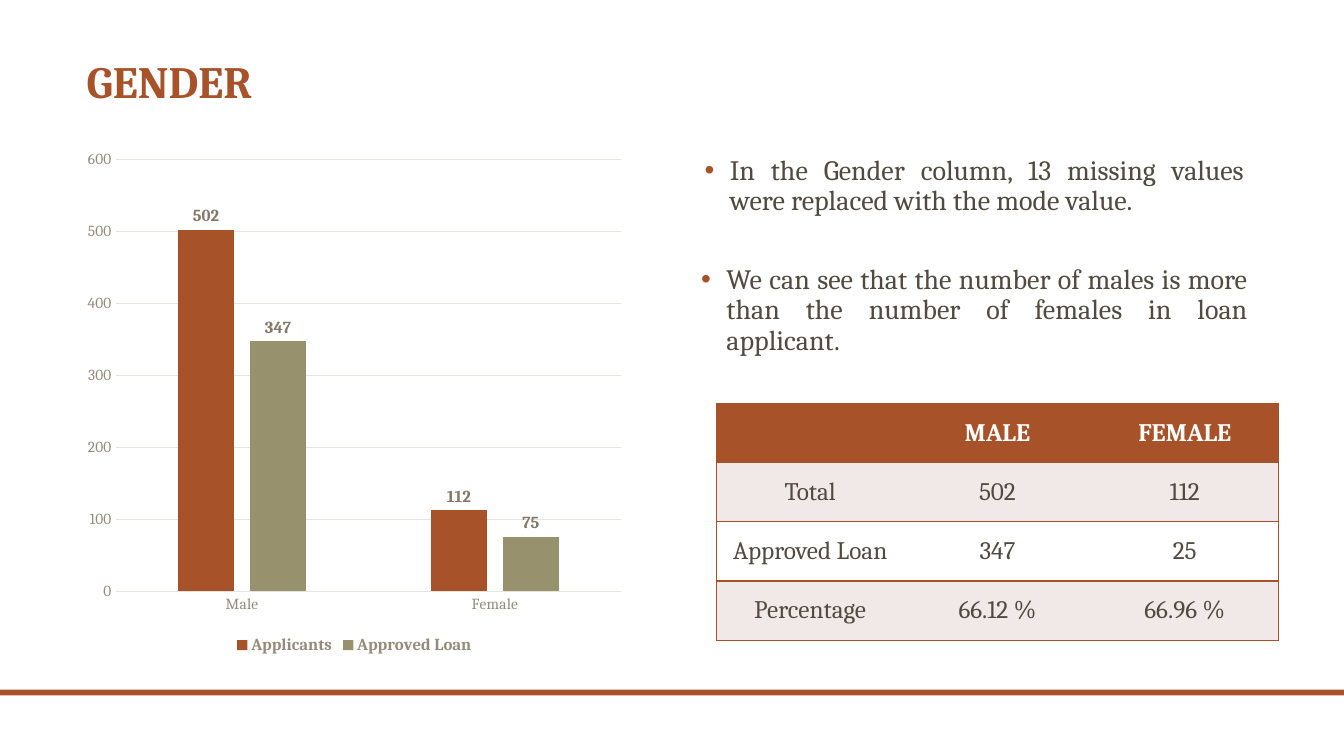
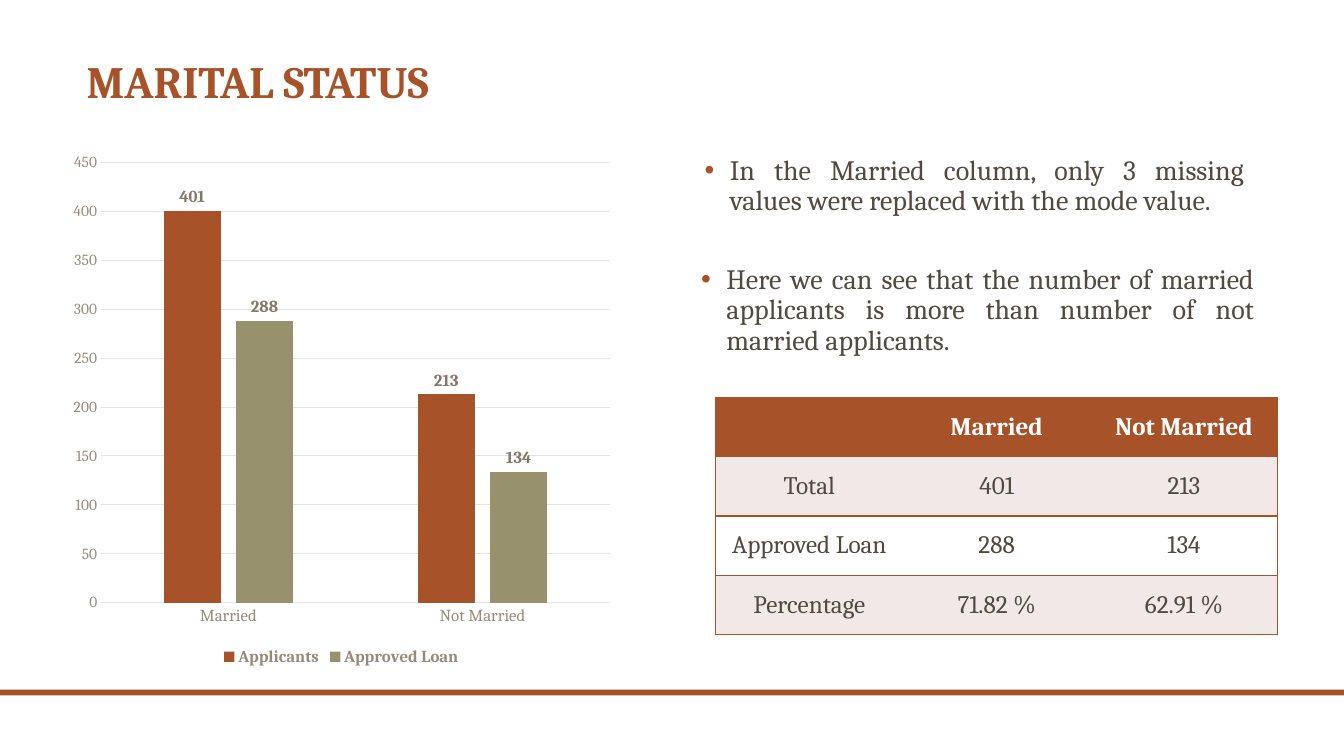
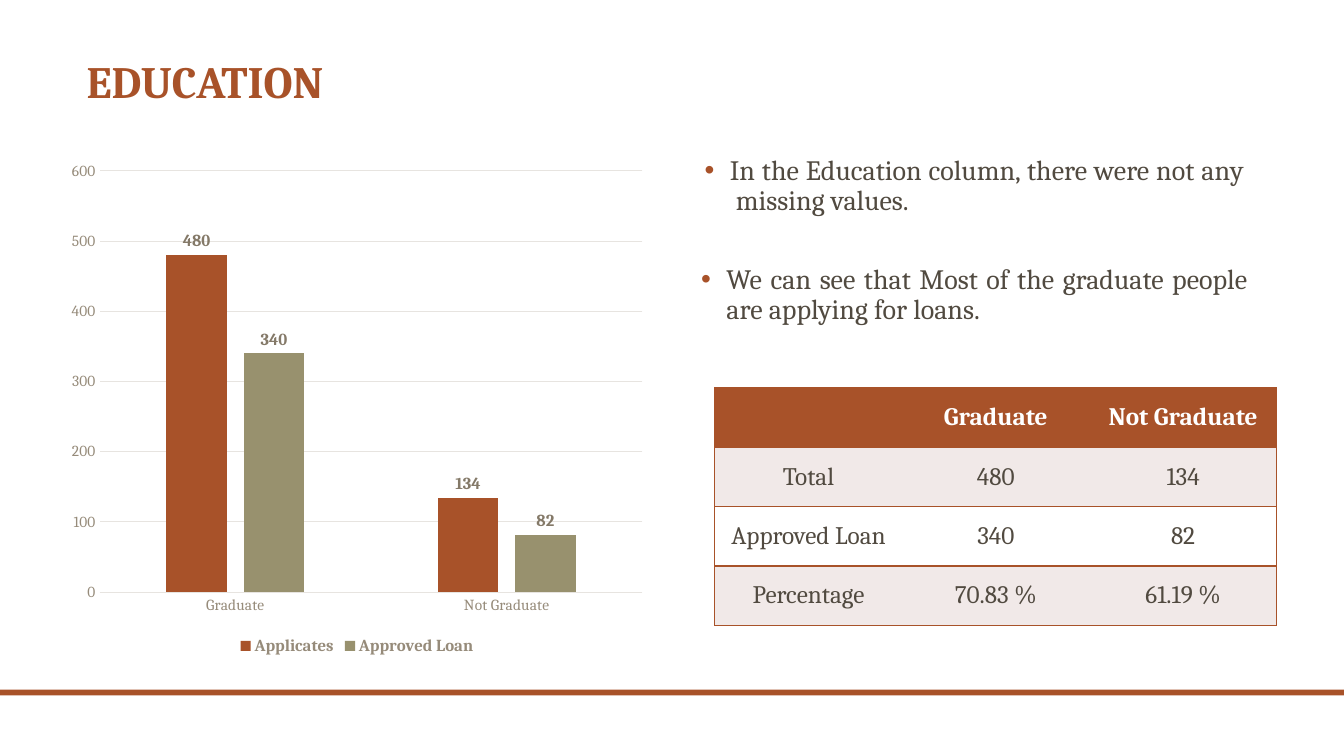
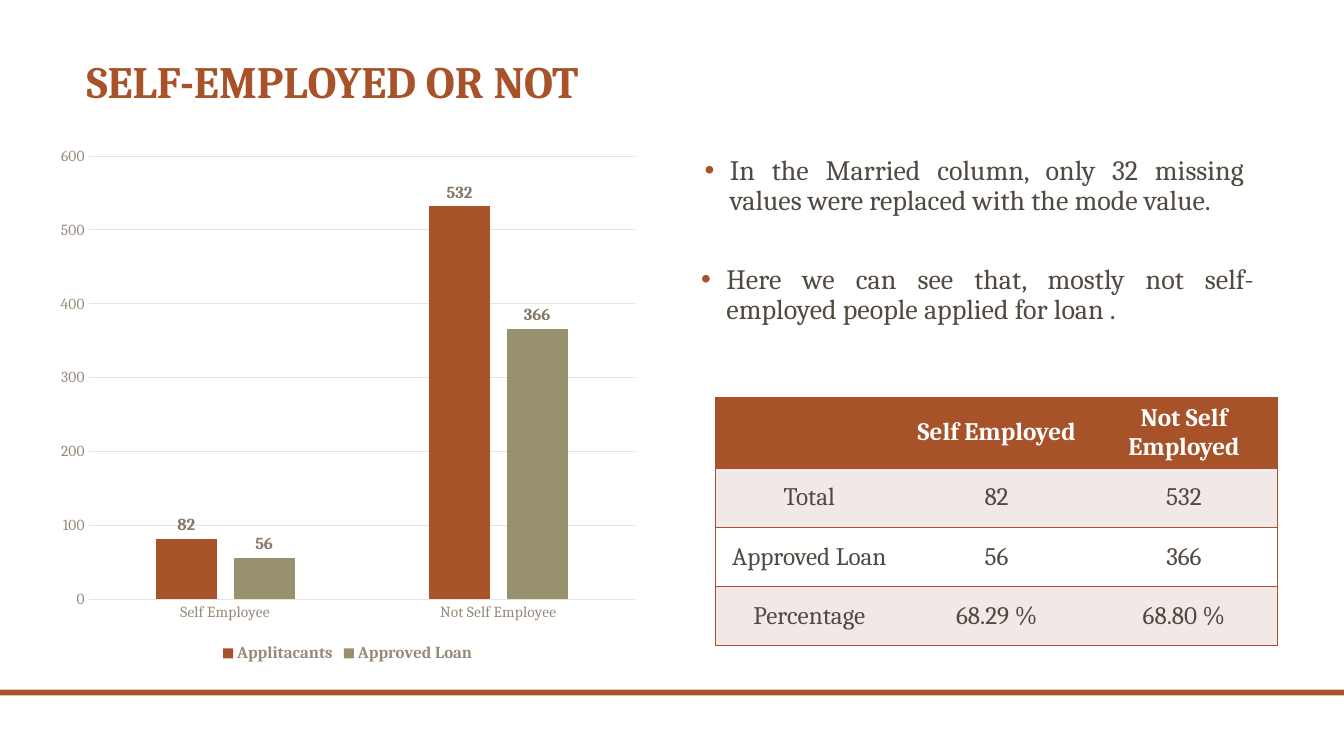
from lxml.etree import SubElement
from pptx import Presentation
from pptx.chart.data import CategoryChartData
from pptx.dml.color import RGBColor
from pptx.enum.chart import XL_CHART_TYPE, XL_LABEL_POSITION, XL_LEGEND_POSITION, XL_TICK_MARK
from pptx.enum.shapes import MSO_SHAPE
from pptx.enum.text import MSO_ANCHOR, MSO_AUTO_SIZE, PP_ALIGN
from pptx.oxml.ns import qn
from pptx.util import Inches, Pt

RUST = RGBColor(0xA8, 0x52, 0x29)
OLIVE = RGBColor(0x98, 0x91, 0x6E)
TEXT = RGBColor(0x51, 0x4A, 0x40)
LABEL = RGBColor(0x84, 0x79, 0x68)
AXIS = RGBColor(0x96, 0x8B, 0x7A)
GRID = RGBColor(0xE7, 0xE4, 0xE0)
TINT = RGBColor(0xF1, 0xE9, 0xE8)
WHITE = RGBColor(0xFF, 0xFF, 0xFF)
FONT = "Cambria"

# The slide is a grid of square units, 160 columns by 90 rows
COLUMNS, ROWS = 160, 90
UNIT = Inches(1) / 12


def grid(*lengths):
    return [round(length * UNIT) for length in lengths]


def set_font(font, size, color, bold=False):
    font.name, font.size, font.bold = FONT, Pt(size), bold
    font.color.rgb = color


def add_solid_fill(parent, color):
    fill = SubElement(parent, qn("a:solidFill"))
    SubElement(fill, qn("a:srgbClr"), val=str(color))


class Deck:
    """Holds the shared style and the current slide."""

    def __init__(self):
        self.presentation = Presentation()
        self.presentation.slide_width, self.presentation.slide_height = grid(COLUMNS, ROWS)
        self.slide = None

    def new_slide(self, title):
        self.slide = self.presentation.slides.add_slide(self.presentation.slide_layouts[5])
        # Footer band
        band = self.slide.shapes.add_shape(MSO_SHAPE.RECTANGLE, *grid(0, 82.1, COLUMNS, 0.7))
        band.shadow.inherit = False
        band.fill.solid()
        band.fill.fore_color.rgb = RUST
        band.line.fill.background()
        # Title
        shape = self.slide.shapes.title
        shape.left, shape.top, shape.width, shape.height = grid(9.1, 5.2, 126, 8.3)
        frame = shape.text_frame
        frame.text = title
        frame.auto_size = MSO_AUTO_SIZE.NONE
        frame.vertical_anchor = MSO_ANCHOR.BOTTOM
        paragraph = frame.paragraphs[0]
        paragraph.alignment = PP_ALIGN.LEFT
        paragraph.line_spacing = 0.9
        set_font(paragraph.font, 32, RUST, True)

    def bullet(self, text, box):
        frame = self.slide.shapes.add_textbox(*grid(*box)).text_frame
        frame.word_wrap = True
        paragraph = frame.paragraphs[0]
        paragraph.text = text
        paragraph.alignment = PP_ALIGN.JUSTIFY
        paragraph.line_spacing = 0.9
        paragraph.space_before = Pt(18)
        # Hanging bullet
        properties = paragraph._p.get_or_add_pPr()
        properties.set("marL", str(Inches(0.3)))
        properties.set("indent", str(-Inches(0.25)))
        color = SubElement(properties, qn("a:buClr"))
        SubElement(color, qn("a:srgbClr"), val=str(RUST))
        SubElement(properties, qn("a:buFont"), typeface="Arial")
        SubElement(properties, qn("a:buChar"), char="•")
        set_font(paragraph.font, 20, TEXT)

    def table(self, rows, left, top):
        row_count, column_count = len(rows), len(rows[0])
        table = self.slide.shapes.add_table(
            row_count, column_count, *grid(left, top, 66.9, 7.06 * row_count)).table
        table.horz_banding = False
        for i, row in enumerate(rows):
            fill = RUST if i == 0 else TINT if i % 2 else WHITE
            for j, text in enumerate(row):
                cell = table.cell(i, j)
                self.cell_borders(cell, j == 0, j == column_count - 1)
                cell.fill.solid()
                cell.fill.fore_color.rgb = fill
                cell.vertical_anchor = MSO_ANCHOR.MIDDLE
                cell.text = text
                paragraph = cell.text_frame.paragraphs[0]
                paragraph.alignment = PP_ALIGN.CENTER
                set_font(paragraph.font, 18, TEXT if i else WHITE, i == 0)

    def cell_borders(self, cell, is_first, is_last):
        properties = cell._tc.get_or_add_tcPr()
        sides = {"a:lnL": is_first, "a:lnR": is_last, "a:lnT": True, "a:lnB": True}
        for side, visible in sides.items():
            line = SubElement(properties, qn(side), w=str(Pt(1)))
            if visible:
                add_solid_fill(line, RUST)
            else:
                SubElement(line, qn("a:noFill"))

    def column_chart(self, categories, series, box, category_size=11):
        data = CategoryChartData()
        data.categories = categories
        for name, values in series.items():
            data.add_series(name, values)
        chart = self.slide.shapes.add_chart(
            XL_CHART_TYPE.COLUMN_CLUSTERED, *grid(*box), data).chart
        chart.has_title = False
        set_font(chart.font, 10, TEXT)
        # Legend
        chart.has_legend = True
        chart.legend.position = XL_LEGEND_POSITION.BOTTOM
        chart.legend.include_in_layout = False
        set_font(chart.legend.font, 12, AXIS, True)
        # Axes
        category_axis, value_axis = chart.category_axis, chart.value_axis
        for axis, size in ((category_axis, category_size), (value_axis, 11)):
            axis.major_tick_mark = axis.minor_tick_mark = XL_TICK_MARK.NONE
            set_font(axis.tick_labels.font, size, AXIS)
        value_axis.format.line.fill.background()
        for line in (category_axis.format.line, value_axis.major_gridlines.format.line):
            line.color.rgb = GRID
            line.width = Pt(0.75)
        # Columns and their labels
        plot = chart.plots[0]
        plot.vary_by_categories = False
        plot.gap_width, plot.overlap = 219, -27
        for item, color in zip(plot.series, (RUST, OLIVE)):
            item.format.fill.solid()
            item.format.fill.fore_color.rgb = color
            labels = item.data_labels
            labels.show_value = True
            labels.position = XL_LABEL_POSITION.OUTSIDE_END
            set_font(labels.font, 12, LABEL, True)

    def analysis(self, title, notes, note_width, header, rows, table_at, chart):
        self.new_slide(title)
        self.column_chart(**chart)
        self.bullet(notes[0], (82.1, 18, 67.2, 8.5))
        self.bullet(notes[1], (81.7, 31, note_width, 14))
        names = ("Total", "Approved Loan", "Percentage")
        body = [(name, *values) for name, values in zip(names, rows)]
        self.table([("", *header), *body], *table_at)


SLIDES = [
    dict(
        title="GENDER",
        notes=("In the Gender column, 13 missing values were replaced with the mode value.",
               "We can see that the number of males is more than the number of females "
               "in loan applicant."),
        note_width=68,
        header=("MALE", "FEMALE"),
        rows=(("502", "112"), ("347", "25"), ("66.12 %", "66.96 %")),
        table_at=(85.3, 48),
        chart=dict(categories=("Male", "Female"), box=(9.1, 16.6, 66.2, 61.8),
                   series={"Applicants": (502, 112), "Approved Loan": (347, 75)}),
    ),
    dict(
        title="MARITAL STATUS",
        notes=("In the Married column, only 3 missing values were replaced with the mode value.",
               "Here we can see that the number of married applicants is more than number "
               "of not married applicants."),
        note_width=68.8,
        header=("Married", "Not Married"),
        rows=(("401", "213"), ("288", "134"), ("71.82 %", "62.91 %")),
        table_at=(85.2, 47.3),
        chart=dict(categories=("Married", "Not Married"), box=(7.4, 17, 66.5, 62.8),
                   series={"Applicants": (401, 213), "Approved Loan": (288, 134)},
                   category_size=12),
    ),
    dict(
        title="EDUCATION",
        notes=("In the Education column, there were not any  missing values.",
               "We can see that Most of the graduate people are applying for loans."),
        note_width=68,
        header=("Graduate", "Not Graduate"),
        rows=(("480", "134"), ("340", "82"), ("70.83 %", "61.19 %")),
        table_at=(85.1, 46.2),
        chart=dict(categories=("Graduate", "Not Graduate"), box=(7.1, 18, 70.8, 60.5),
                   series={"Applicates": (480, 134), "Approved Loan": (340, 82)}),
    ),
    dict(
        title="SELF-EMPLOYED OR NOT",
        notes=("In the Married column, only 32 missing values were replaced with the mode value.",
               "Here we can see that, mostly not self- employed people applied for loan ."),
        note_width=68.8,
        header=("Self Employed", "Not Self Employed"),
        rows=(("82", "532"), ("56", "366"), ("68.29 %", "68.80 %")),
        table_at=(85.2, 47.3),
        chart=dict(categories=("Self Employee", "Not Self Employee"), box=(5.8, 16.2, 71.2, 63.2),
                   series={"Applitacants": (82, 532), "Approved Loan": (56, 366)}),
    ),
]


def main():
    deck = Deck()
    for content in SLIDES:
        deck.analysis(**content)
    deck.presentation.save("out.pptx")


if __name__ == "__main__":
    main()
